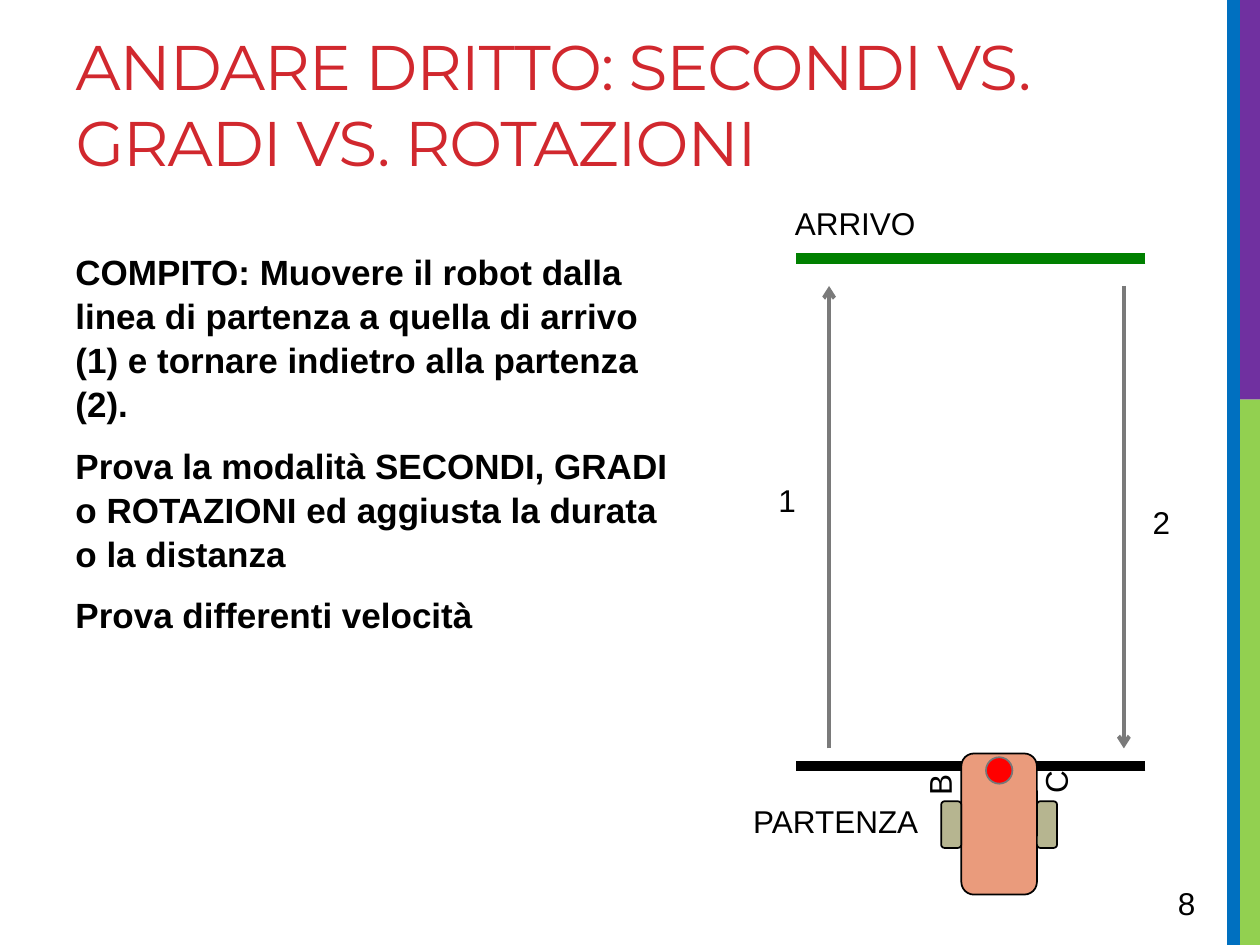
from lxml import etree
from pptx import Presentation
from pptx.dml.color import RGBColor
from pptx.enum.shapes import MSO_CONNECTOR, MSO_SHAPE
from pptx.enum.text import MSO_ANCHOR, MSO_AUTO_SIZE, PP_ALIGN
from pptx.oxml.ns import qn
from pptx.util import Inches, Pt

STRAIGHT = MSO_CONNECTOR.STRAIGHT
RECT, ROUNDED, OVAL = MSO_SHAPE.RECTANGLE, MSO_SHAPE.ROUNDED_RECTANGLE, MSO_SHAPE.OVAL
TOP = MSO_ANCHOR.TOP
LEFT = PP_ALIGN.LEFT
NO_FIT = MSO_AUTO_SIZE.NONE
TITLE_ONLY = 5

COLORS = {
    "title": "D1282E", "text": "000000", "green": "92D050", "purple": "7030A0",
    "blue": "0070C0", "finish": "008000", "start": "000000", "route": "7A7A7A",
    "body": "EA9B7C", "wheel": "B6B590", "sensor": "FF0000", "rim": "777777",
}
TASKS = [
    "COMPITO: Muovere il robot dalla linea di partenza a quella di arrivo (1) e tornare indietro alla partenza (2).",
    "Prova la modalità SECONDI, GRADI o ROTAZIONI ed aggiusta la durata o la distanza",
    "Prova differenti velocità",
]


def color(name):
    return RGBColor.from_string(COLORS[name])


def place(box):
    return [Inches(length) for length in box]


def add_span(para, text, size, name="text", font="Arial", bold=False):
    span = para.add_run()
    span.text = text
    span.font.size = Pt(size)
    span.font.name = font
    span.font.bold = bold
    span.font.color.rgb = color(name)
    return span


def add_block(shapes, box, fill, kind=RECT, line=None):
    block = shapes.add_shape(kind, *place(box))
    block.shadow.inherit = False
    block.fill.solid()
    block.fill.fore_color.rgb = color(fill)
    if line:
        block.line.color.rgb = color(line)
        block.line.width = Pt(1)
    else:
        block.line.fill.background()
    return block


def add_label(shapes, box, text, wrap=True, rotation=0):
    label = shapes.add_textbox(*place(box))
    label.rotation = rotation
    label.text_frame.word_wrap = wrap
    add_span(label.text_frame.paragraphs[0], text, 18)


def add_line(shapes, start, end, name, width, arrow=False):
    line = shapes.add_connector(STRAIGHT, *place(start + end))
    line.line.color.rgb = color(name)
    line.line.width = Pt(width)
    if arrow:
        etree.SubElement(line.line._get_or_add_ln(), qn("a:tailEnd"), type="arrow")
    etree.SubElement(line._element.spPr, qn("a:effectLst"))


def add_side_bars(page, box):
    left, top, width, height = box
    split = 3.17
    add_block(page.shapes, (left + 0.1, split, width - 0.1, height - split), "green")
    add_block(page.shapes, (left + 0.06, top, width - 0.06, split), "purple")
    add_block(page.shapes, (left, top, 0.1, height), "blue")


def add_title(page, box):
    title = page.shapes.title
    title.left, title.top, title.width, title.height = place(box)
    frame = title.text_frame
    frame.word_wrap = True
    frame.auto_size = NO_FIT
    frame.vertical_anchor = TOP
    para = frame.paragraphs[0]
    para.alignment = LEFT
    span = add_span(para, "ANDARE DRITTO: SECONDI VS. GRADI VS. ROTAZIONI", 36, "title", "Montserrat")
    span.font._element.set("spc", "-60")


def add_tasks(page, box):
    frame = page.shapes.add_textbox(*place(box)).text_frame
    frame.word_wrap = True
    for index, task in enumerate(TASKS):
        para = frame.add_paragraph() if index else frame.paragraphs[0]
        para.space_before = Pt(4 if index else 0)
        para.space_after = Pt(6)
        para.line_spacing = 1.05
        add_span(para, task, 20, bold=True)


def add_track(page, box):
    left, top, width, height = box
    right, bottom = left + width, top + height
    for y, name in ((top, "finish"), (bottom, "start")):
        add_line(page.shapes, (right, y), (left, y), name, 6)
    high, low = top + 0.22, bottom - 0.14
    out, back = left + 0.26, right - 0.17
    add_line(page.shapes, (out, low), (out, high), "route", 2.25, arrow=True)
    add_line(page.shapes, (back, high), (back, low), "route", 2.25, arrow=True)
    add_label(page.shapes, (out - 0.5, 3.77, 0.34, 0.4), "1")
    add_label(page.shapes, (back + 0.13, 3.94, 0.34, 0.4), "2")
    add_label(page.shapes, (left - 0.11, top - 0.48, 1.17, 0.4), "ARRIVO", wrap=False)
    add_label(page.shapes, (left - 0.44, bottom + 0.24, 1.53, 0.4), "PARTENZA", wrap=False)


def add_robot(page, box):
    left, top, width, height = box
    wheel, sensor = 0.16, 0.21
    parts = page.shapes.add_group_shape().shapes
    add_block(parts, box, "body", ROUNDED, "text")
    for x in (left + width, left - wheel):
        add_block(parts, (x, top + 0.38, wheel, 0.37), "wheel", ROUNDED, "text")
    add_block(parts, (left + (width - sensor) / 2, top + 0.03, sensor, sensor), "sensor", OVAL, "rim")
    add_label(parts, (left - 0.45, top + 0.06, 0.45, 0.3), "B", rotation=270)
    add_label(parts, (left + 0.47, top + 0.04, 0.45, 0.3), "C", rotation=270)


def main():
    deck = Presentation()
    deck.slide_width, deck.slide_height = Inches(10), Inches(7.5)
    page = deck.slides.add_slide(deck.slide_layouts[TITLE_ONLY])
    add_side_bars(page, (9.74, 0, 0.26, 7.5))
    add_title(page, (0.5, 0.17, 9.02, 1.5))
    add_tasks(page, (0.5, 1.92, 4.98, 4.78))
    add_track(page, (6.32, 2.05, 2.77, 4.03))
    add_robot(page, (7.63, 5.98, 0.6, 1.12))
    add_label(page.shapes, (9.25, 6.97, 0.69, 0.4), "8")
    deck.save("out.pptx")


if __name__ == "__main__":
    main()
